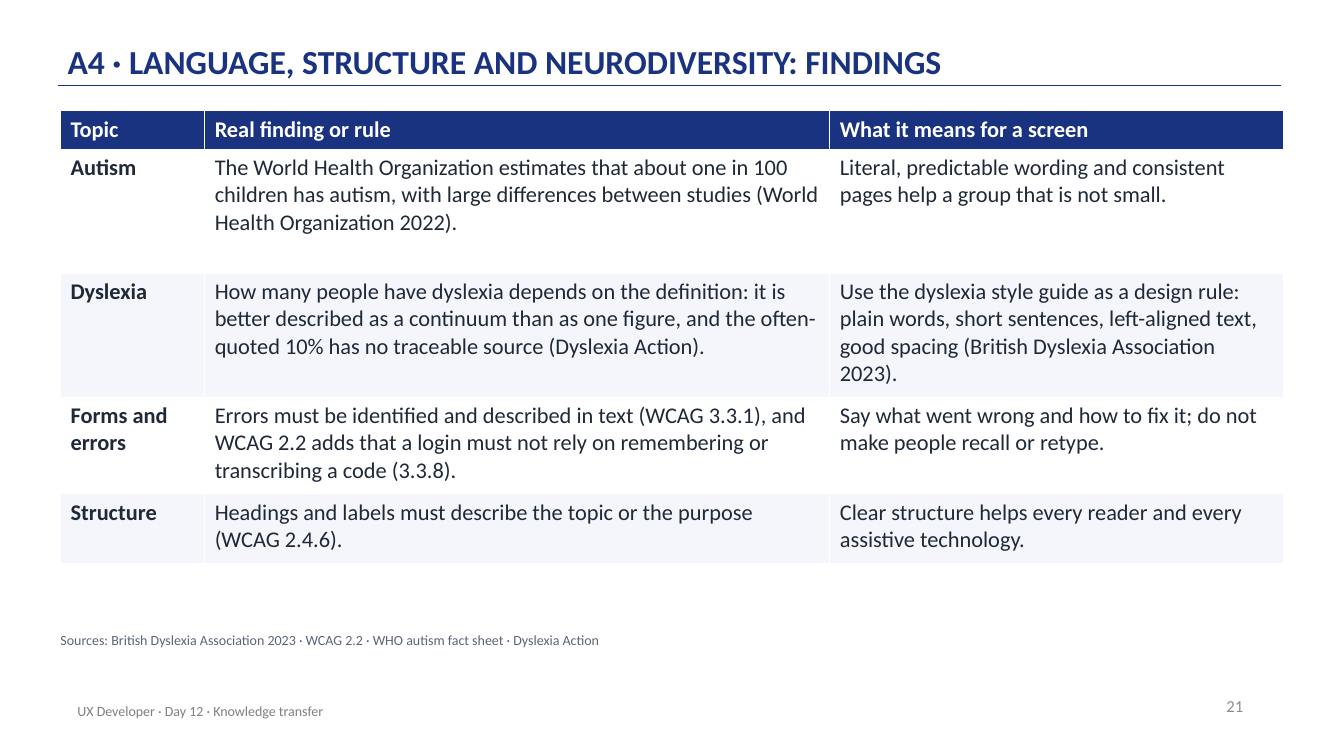
from dataclasses import dataclass

from lxml.etree import SubElement
from pptx import Presentation
from pptx.dml.color import RGBColor
from pptx.enum.shapes import MSO_CONNECTOR
from pptx.enum.text import MSO_ANCHOR, PP_ALIGN
from pptx.oxml.ns import qn
from pptx.util import Inches, Pt


@dataclass(frozen=True)
class Theme:
    font: str = "Calibri"
    navy: str = "1A3381"
    ink: str = "1F2937"
    white: str = "FFFFFF"
    band: str = "F4F6FB"
    source: str = "5B6577"
    footer: str = "808080"
    number: str = "8C8C8C"
    title_size: int = 24
    table_size: int = 16
    number_size: int = 12
    small_size: int = 10


COLUMN_WIDTHS = [1.43, 6.2, 4.5]
ROW_HEIGHTS = [0.38, 1.23, 1.23, 0.96, 0.69]
FINDINGS = [
    ("Topic", "Real finding or rule", "What it means for a screen"),
    (
        "Autism",
        "The World Health Organization estimates that about one in 100 children has autism, "
        "with large differences between studies (World Health Organization 2022).",
        "Literal, predictable wording and consistent pages help a group that is not small.",
    ),
    (
        "Dyslexia",
        "How many people have dyslexia depends on the definition: it is better described as "
        "a continuum than as one figure, and the often-quoted 10% has no traceable source "
        "(Dyslexia Action).",
        "Use the dyslexia style guide as a design rule: plain words, short sentences, "
        "left-aligned text, good spacing (British Dyslexia Association 2023).",
    ),
    (
        "Forms and errors",
        "Errors must be identified and described in text (WCAG 3.3.1), and WCAG 2.2 adds that "
        "a login must not rely on remembering or transcribing a code (3.3.8).",
        "Say what went wrong and how to fix it; do not make people recall or retype.",
    ),
    (
        "Structure",
        "Headings and labels must describe the topic or the purpose (WCAG 2.4.6).",
        "Clear structure helps every reader and every assistive technology.",
    ),
]


def write_text(frame, text, *, font, size, color, bold=False, align=PP_ALIGN.LEFT,
               line_spacing=None, space_after=None):
    paragraph = frame.paragraphs[0]
    paragraph.alignment = align
    if line_spacing is not None:
        paragraph.line_spacing = line_spacing
    if space_after is not None:
        paragraph.space_after = Pt(space_after)
    run = paragraph.add_run()
    run.text = text
    run.font.name = font
    run.font.size = Pt(size)
    run.font.bold = bold
    run.font.color.rgb = RGBColor.from_string(color)


class SlideBuilder:
    """Draws styled elements on one slide."""

    def __init__(self, slide, theme):
        self.slide = slide
        self.theme = theme

    def text(self, text, left, top, width, height, *, anchor=MSO_ANCHOR.TOP,
             margins=(0.1, 0.05), **style):
        box = self.slide.shapes.add_textbox(
            Inches(left), Inches(top), Inches(width), Inches(height))
        frame = box.text_frame
        frame.word_wrap = True
        frame.vertical_anchor = anchor
        frame.margin_left = frame.margin_right = Inches(margins[0])
        frame.margin_top = frame.margin_bottom = Inches(margins[1])
        write_text(frame, text, font=self.theme.font, **style)

    def rule(self, left, right, y):
        line = self.slide.shapes.add_connector(
            MSO_CONNECTOR.STRAIGHT, Inches(left), Inches(y), Inches(right), Inches(y))
        line.line.color.rgb = RGBColor.from_string(self.theme.navy)
        line.line.width = Pt(1)
        SubElement(line._element.spPr, qn("a:effectLst"))

    def table(self, rows, left, top, widths, heights):
        theme = self.theme
        table = self.slide.shapes.add_table(
            len(rows), len(widths), Inches(left), Inches(top),
            Inches(sum(widths)), Inches(sum(heights))).table
        for column, width in zip(table.columns, widths):
            column.width = Inches(width)
        for index, (row, height, texts) in enumerate(zip(table.rows, heights, rows)):
            row.height = Inches(height)
            header = index == 0
            fill = theme.navy if header else (theme.band, theme.white)[index % 2]
            for position, (cell, text) in enumerate(zip(row.cells, texts)):
                cell.fill.solid()
                cell.fill.fore_color.rgb = RGBColor.from_string(fill)
                write_text(cell.text_frame, text, font=theme.font, size=theme.table_size,
                           color=theme.white if header else theme.ink,
                           bold=header or position == 0)


def main():
    presentation = Presentation()
    presentation.slide_width = Inches(13.33)
    presentation.slide_height = Inches(7.5)
    slide = presentation.slides.add_slide(presentation.slide_layouts[6])
    theme = Theme()
    builder = SlideBuilder(slide, theme)

    builder.rule(0.58, 12.71, 0.85)
    builder.text("A4 · LANGUAGE, STRUCTURE AND NEURODIVERSITY: FINDINGS",
                 0.67, 0.12, 11, 0.72, anchor=MSO_ANCHOR.BOTTOM, margins=(0, 0.03),
                 size=theme.title_size, color=theme.navy, bold=True, line_spacing=0.9)
    builder.table(FINDINGS, 0.6, 1.1, COLUMN_WIDTHS, ROW_HEIGHTS)
    builder.text("Sources: British Dyslexia Association 2023 · WCAG 2.2 · "
                 "WHO autism fact sheet · Dyslexia Action",
                 0.6, 6.27, 12.1, 0.3, margins=(0, 0),
                 size=theme.small_size, color=theme.source, space_after=6)
    builder.text("UX Developer · Day 12 · Knowledge transfer", 0.67, 6.85, 6.7, 0.4,
                 anchor=MSO_ANCHOR.MIDDLE, size=theme.small_size, color=theme.footer)
    builder.text("21", 9.43, 6.8, 3, 0.4, anchor=MSO_ANCHOR.MIDDLE,
                 size=theme.number_size, color=theme.number, align=PP_ALIGN.RIGHT)

    presentation.save("out.pptx")


if __name__ == "__main__":
    main()
